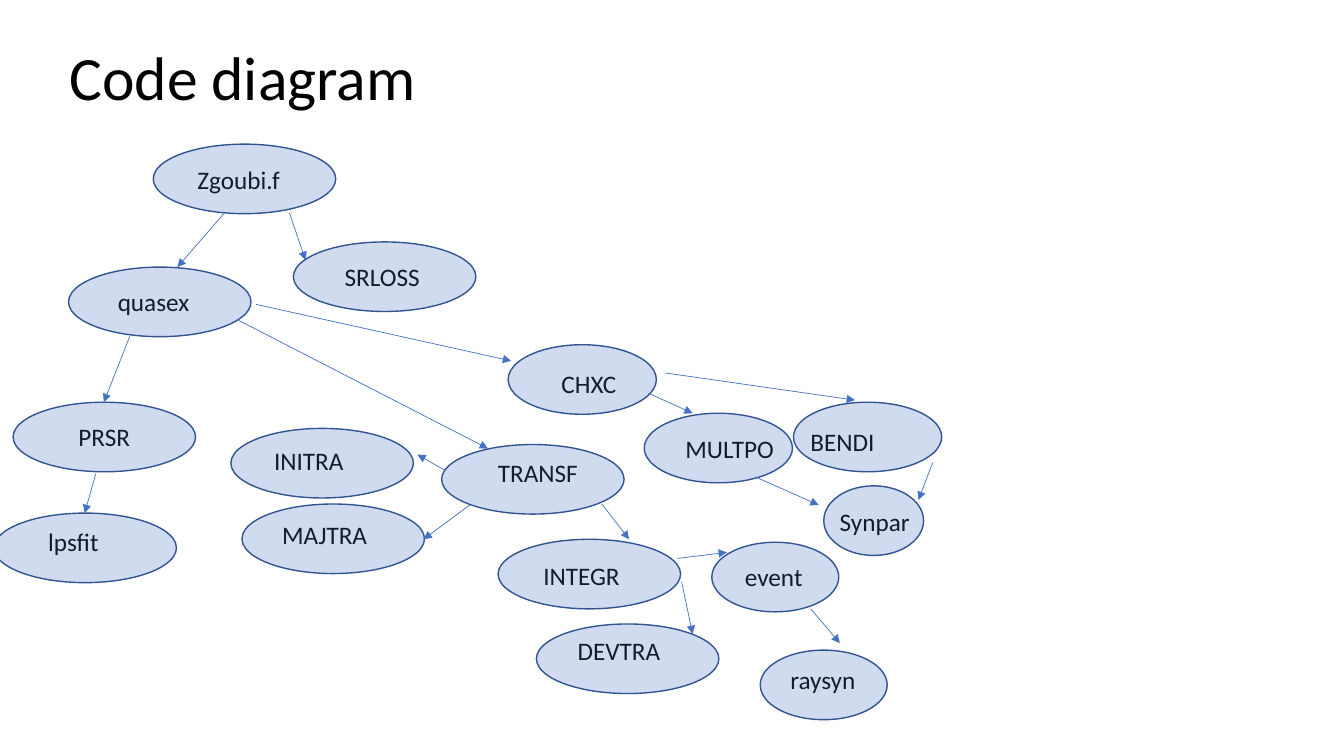
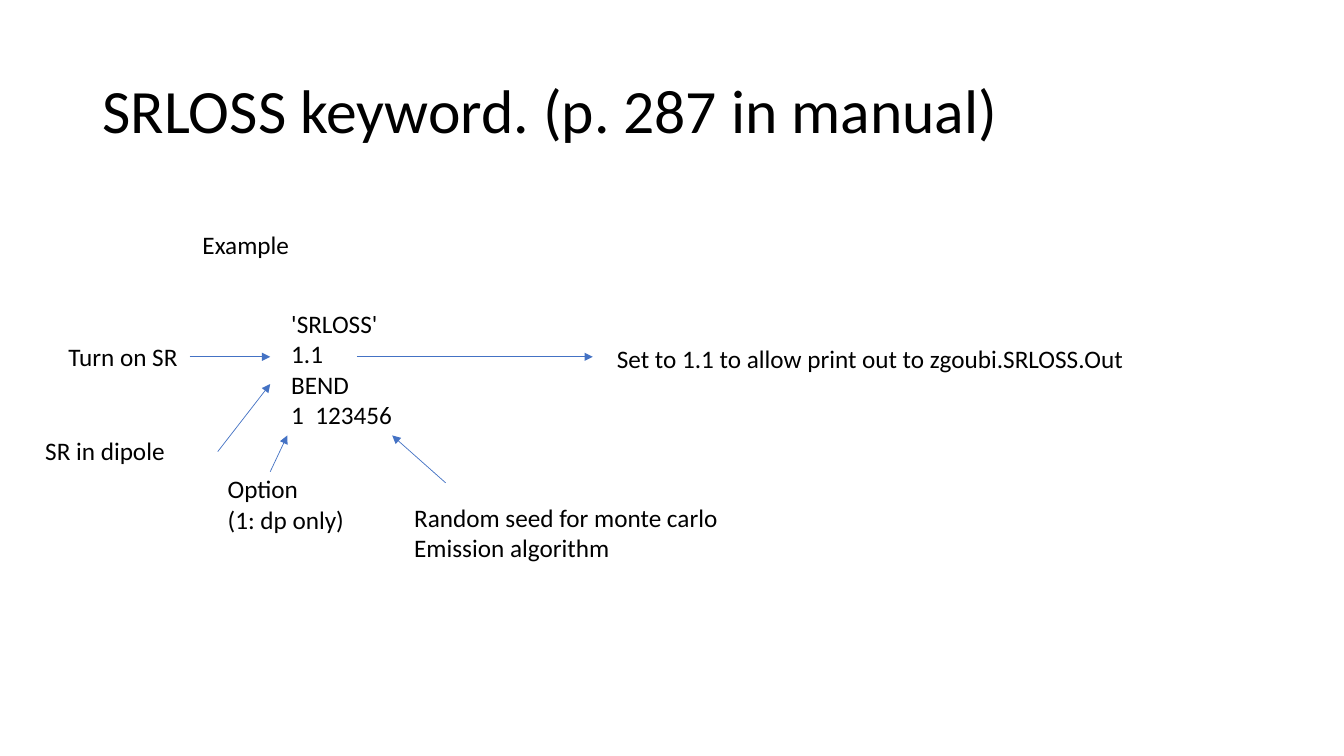
import dataclasses

import lxml.etree
import pptx
import pptx.dml.color
import pptx.enum.shapes
import pptx.enum.text
import pptx.oxml.ns
import pptx.util

PX = 9144  # EMU; 100 px make an inch
SLIDE_WIDTH, SLIDE_HEIGHT = 1333, 750


@dataclasses.dataclass(frozen=True)
class Theme:
    font: str = "Calibri"
    ink: str = "000000"
    accent: str = "4472C4"
    outline: str = "325491"
    node_opacity: int = 25
    title_size: int = 44
    body_size: int = 18
    outline_width: float = 1
    arrow_width: float = 0.5


def rgb(value):
    return pptx.dml.color.RGBColor.from_string(value)


def add_xml(parent, tag, **attributes):
    return lxml.etree.SubElement(parent, pptx.oxml.ns.qn(tag), **attributes)


class Deck:
    NODE_HEIGHT = 69
    LABEL_WIDTH, LABEL_HEIGHT = 120, 40

    def __init__(self, theme):
        self.theme = theme
        self.presentation = pptx.Presentation()
        self.presentation.slide_width = SLIDE_WIDTH * PX
        self.presentation.slide_height = SLIDE_HEIGHT * PX
        self.slide = None

    def new_slide(self, title, left, top):
        blank = self.presentation.slide_layouts[6]
        self.slide = self.presentation.slides.add_slide(blank)
        frame = self.text([title], left, top, 1150, 145, self.theme.title_size)
        frame.vertical_anchor = pptx.enum.text.MSO_ANCHOR.MIDDLE
        frame.paragraphs[0].line_spacing = 0.9

    def text(self, lines, left, top, width, height, size=None):
        box = self.slide.shapes.add_textbox(left * PX, top * PX, width * PX, height * PX)
        frame = box.text_frame
        frame.word_wrap = True
        frame.text = "\n".join(lines)
        for paragraph in frame.paragraphs:
            paragraph.font.name = self.theme.font
            paragraph.font.size = pptx.util.Pt(size or self.theme.body_size)
            paragraph.font.color.rgb = rgb(self.theme.ink)
        return frame

    def node(self, name, left, top, width, label_left, label_top):
        """Lay a see-through ellipse over its routine name."""
        self.text([name], label_left, label_top, self.LABEL_WIDTH, self.LABEL_HEIGHT)
        ellipse = self.slide.shapes.add_shape(
            pptx.enum.shapes.MSO_SHAPE.OVAL,
            left * PX, top * PX, width * PX, self.NODE_HEIGHT * PX)
        ellipse.shadow.inherit = False
        ellipse.fill.solid()
        ellipse.fill.fore_color.rgb = rgb(self.theme.accent)
        fill_path = "/".join(map(pptx.oxml.ns.qn, ("a:solidFill", "a:srgbClr")))
        add_xml(ellipse.element.spPr.find(fill_path), "a:alpha",
                val=str(self.theme.node_opacity * 1000))
        ellipse.line.color.rgb = rgb(self.theme.outline)
        ellipse.line.width = pptx.util.Pt(self.theme.outline_width)

    def arrow(self, *ends):
        """Draw from x, y to x, y with the head at the second point."""
        connector = self.slide.shapes.add_connector(
            pptx.enum.shapes.MSO_CONNECTOR.STRAIGHT, *(end * PX for end in ends))
        connector.line.color.rgb = rgb(self.theme.accent)
        connector.line.width = pptx.util.Pt(self.theme.arrow_width)
        add_xml(connector.get_or_add_ln(), "a:tailEnd", type="triangle")
        add_xml(connector.element.spPr, "a:effectLst")


WIDE, MEDIUM, SMALL, TINY = 181, 147, 126, 99

# Routine, ellipse left, top and width, label left and top
ROUTINES = [
    ("Zgoubi.f", 152, 143, WIDE, 186, 158),
    ("quasex", 68, 265, WIDE, 107, 279),
    ("SRLOSS", 291, 240, WIDE, 332, 254),
    ("PRSR", 13, 399, WIDE, 68, 413),
    ("lpsfit", -6, 509, WIDE, 38, 517),
    ("TRANSF", 438, 441, WIDE, 484, 449),
    ("INITRA", 229, 425, WIDE, 262, 437),
    ("MAJTRA", 240, 500, WIDE, 270, 510),
    ("INTEGR", 494, 535, WIDE, 529, 551),
    ("DEVTRA", 532, 619, WIDE, 563, 625),
    ("event", 706, 538, SMALL, 729, 552),
    ("raysyn", 754, 645, SMALL, 774, 654),
    ("CHXC", 504, 342, MEDIUM, 547, 361),
    ("MULTPO", 639, 410, MEDIUM, 670, 425),
    ("BENDI", 787, 399, MEDIUM, 794, 418),
    ("Synpar", 817, 482, TINY, 823, 497),
]

CALLS = [
    (222, 212, 176, 265),  # Zgoubi.f to quasex
    (287, 211, 303, 258),  # Zgoubi.f to SRLOSS
    (129, 333, 103, 399),  # quasex to PRSR
    (235, 317, 484, 445),  # quasex to TRANSF
    (254, 302, 507, 358),  # quasex to CHXC
    (95, 470, 84, 509),    # PRSR to lpsfit
    (442, 467, 414, 451),  # TRANSF to INITRA
    (466, 501, 420, 535),  # TRANSF to MAJTRA
    (597, 500, 624, 535),  # TRANSF to INTEGR
    (676, 577, 687, 629),  # INTEGR to DEVTRA
    (672, 554, 721, 548),  # INTEGR to event
    (804, 604, 833, 638),  # event to raysyn
    (660, 370, 848, 397),  # CHXC to BENDI
    (643, 390, 687, 410),  # CHXC to MULTPO
    (749, 473, 812, 501),  # MULTPO to Synpar
    (925, 459, 911, 496),  # BENDI to Synpar
]

# Lines, left, top, width, height
KEYWORD_TEXTS = [
    (["'SRLOSS'", "1.1", "BEND", "1  123456"], 279, 301, 682, 131),
    (["Example"], 191, 223, 109, 40),
    (["Turn on SR"], 58, 334, 132, 40),
    (["SR in dipole"], 35, 427, 182, 40),
    (["Option", "(1: dp only)"], 216, 465, 140, 71),
    (["Random seed for monte carlo", "Emission algorithm"], 401, 493, 330, 71),
    (["Set to 1.1 to allow print out to zgoubi.SRLOSS.Out"], 602, 336, 535, 40),
]

KEYWORD_ARROWS = [
    (188, 354, 268, 354),  # Turn on SR
    (216, 448, 268, 381),  # SR in dipole
    (268, 468, 285, 432),  # Option
    (442, 479, 389, 432),  # Random seed
    (354, 354, 588, 354),  # Print out
]


def main():
    deck = Deck(Theme())

    deck.new_slide("Code diagram", 59, 7)
    for routine in ROUTINES:
        deck.node(*routine)
    for call in CALLS:
        deck.arrow(*call)

    deck.new_slide("SRLOSS keyword. (p. 287 in manual)", 92, 40)
    for keyword_text in KEYWORD_TEXTS:
        deck.text(*keyword_text)
    for keyword_arrow in KEYWORD_ARROWS:
        deck.arrow(*keyword_arrow)

    deck.presentation.save("out.pptx")


if __name__ == "__main__":
    main()
